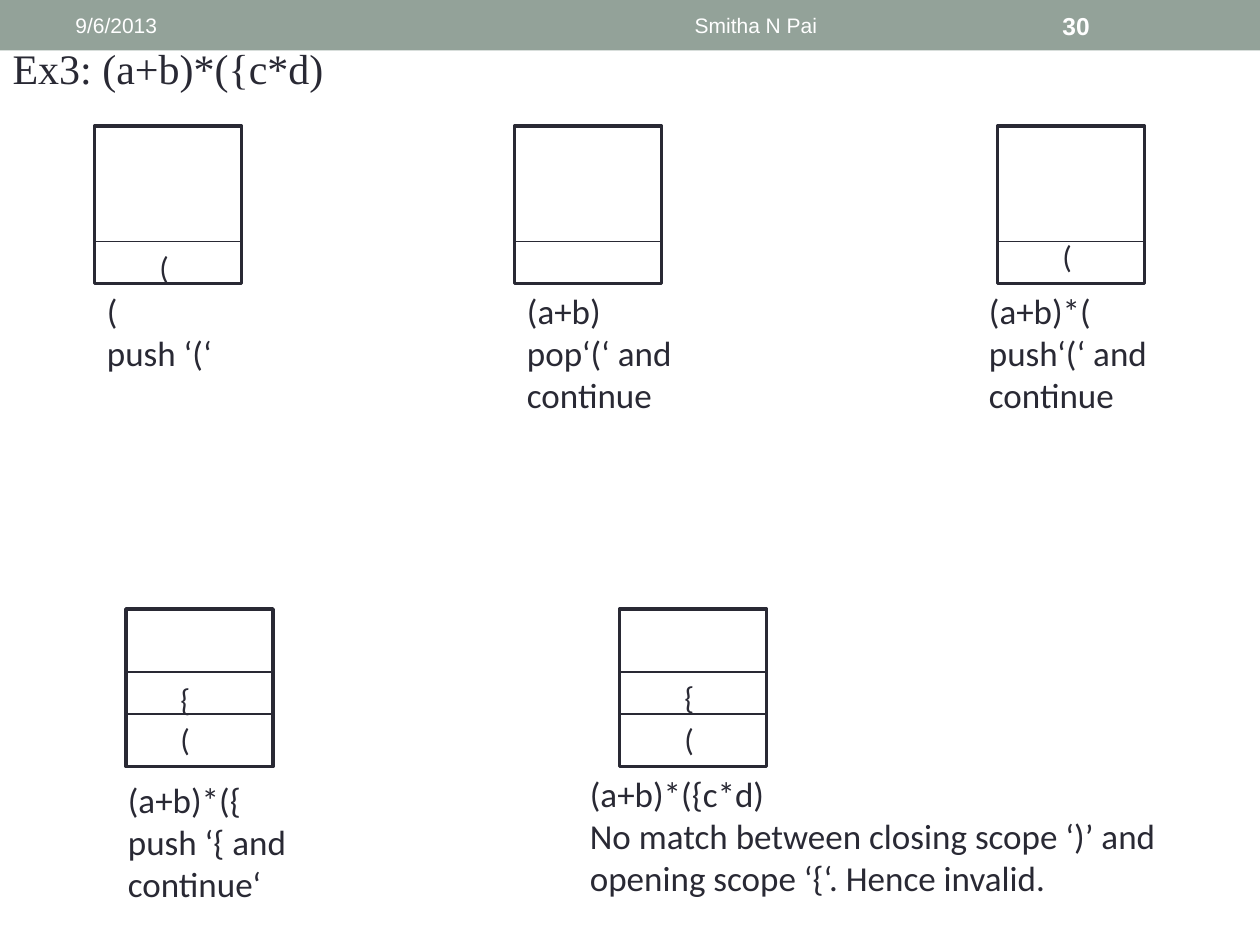
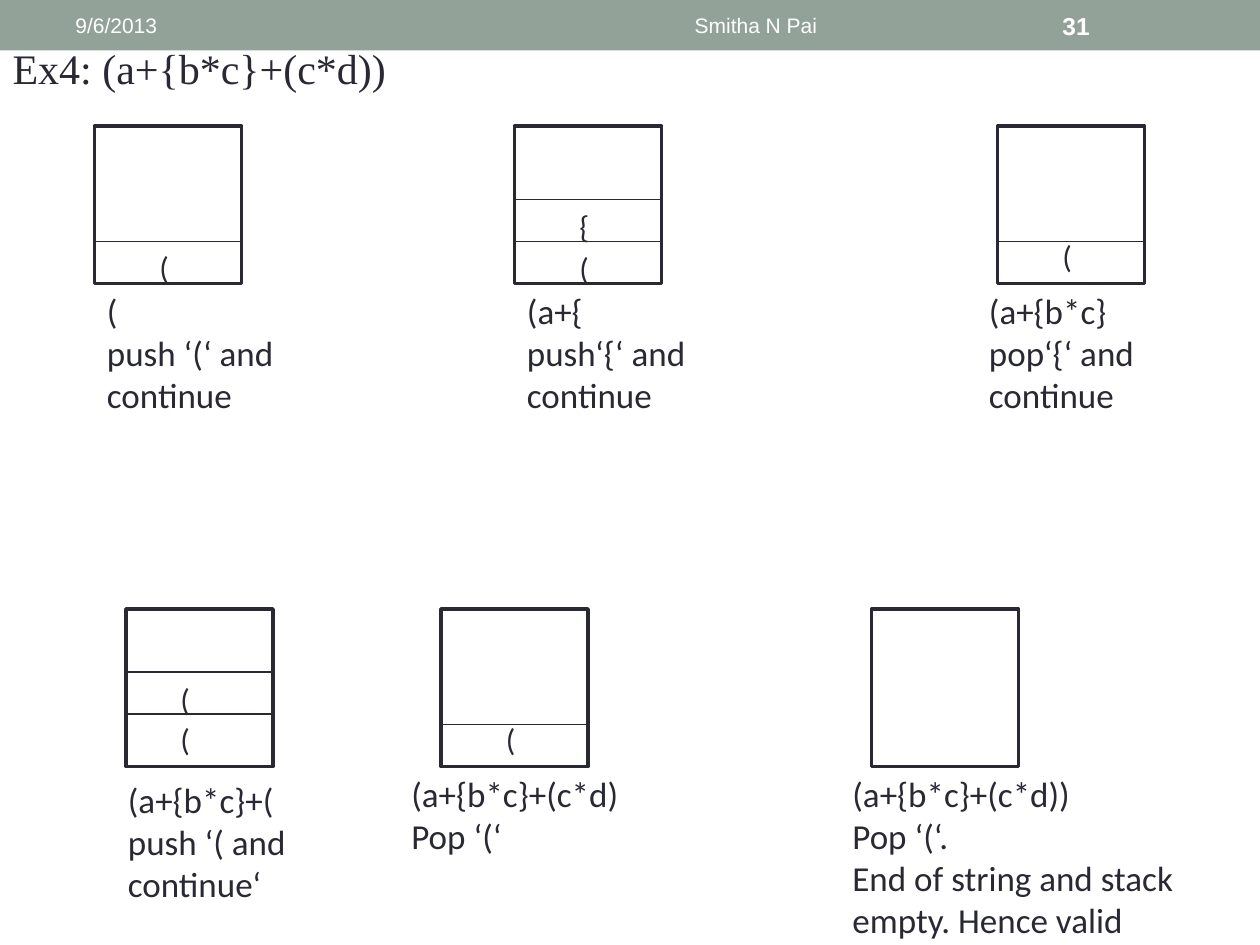
from dataclasses import dataclass

from lxml import etree
from pptx import Presentation
from pptx.dml.color import RGBColor
from pptx.enum.shapes import MSO_CONNECTOR, MSO_SHAPE
from pptx.enum.text import MSO_ANCHOR, MSO_AUTO_SIZE, PP_ALIGN
from pptx.oxml.ns import qn
from pptx.util import Pt

RECTANGLE = MSO_SHAPE.RECTANGLE
STRAIGHT = MSO_CONNECTOR.STRAIGHT
TOP, MIDDLE = MSO_ANCHOR.TOP, MSO_ANCHOR.MIDDLE
NO_FIT, GROW = MSO_AUTO_SIZE.NONE, MSO_AUTO_SIZE.SHAPE_TO_FIT_TEXT
LEFT, CENTER = PP_ALIGN.LEFT, PP_ALIGN.CENTER

INK = RGBColor(0x29, 0x29, 0x34)
SAGE = RGBColor(0x93, 0xA2, 0x99)
WHITE = RGBColor(0xFF, 0xFF, 0xFF)

STACK_WIDTH, STACK_HEIGHT = 84, 90
UPPER_ROW, LOWER_ROW = 72, 348
TITLE_ONLY = 5


@dataclass
class Stack:
    """One drawing of the stack; each cell is (divider y, symbol, symbol y) from the stack's top."""
    left: float
    top: float
    cells: list
    caption: list
    caption_rows: int = 3
    caption_width: float = 120
    caption_shift: tuple = (0, 90)
    symbol_shift: float = 30


OPEN_LOW = [(66, "(", 66)]
OPEN_HIGH = [(66, "(", 60)]

SLIDES = [
    ("Ex3: (a+b)*({c*d)", "30", [
        Stack(54, UPPER_ROW, OPEN_LOW, ["(", "push ‘(‘"],
              caption_rows=2, caption_width=90),
        Stack(294, UPPER_ROW, [(66, "", 0)], ["(a+b)", "pop‘(‘ and continue"]),
        Stack(570, UPPER_ROW, OPEN_HIGH, ["(a+b)*(", "push‘(‘ and continue"],
              caption_shift=(-12, 90)),
        Stack(72, LOWER_ROW, [(60, "(", 60), (36, "{", 37)],
              ["(a+b)*({", "push ‘{ and continue‘"],
              caption_width=126, caption_shift=(-6, 93.5), symbol_shift=24),
        Stack(354, LOWER_ROW, [(60, "(", 60), (36, "{", 36)],
              ["(a+b)*({c*d)",
               "No match between closing scope ‘)’ and opening scope ‘{‘. Hence invalid."],
              caption_width=360, caption_shift=(-24, 90)),
    ]),
    ("Ex4: (a+{b*c}+(c*d))", "31", [
        Stack(54, UPPER_ROW, OPEN_LOW, ["(", "push ‘(‘ and continue"]),
        Stack(294, UPPER_ROW, [(66, "(", 67), (42, "{", 43)],
              ["(a+{", "push‘{‘ and continue"]),
        Stack(570, UPPER_ROW, OPEN_HIGH, ["(a+{b*c}", "pop‘{‘ and continue"],
              caption_shift=(-12, 90)),
        Stack(72, LOWER_ROW, [(60, "(", 60), (36, "(", 37)],
              ["(a+{b*c}+(", "push ‘( and continue‘"],
              caption_width=126, caption_shift=(-6, 93.5), symbol_shift=24),
        Stack(252, LOWER_ROW, OPEN_HIGH, ["(a+{b*c}+(c*d)", "Pop ‘(‘"],
              caption_rows=2, caption_width=150, caption_shift=(-24, 90)),
        Stack(498, LOWER_ROW, [],
              ["(a+{b*c}+(c*d))", "Pop ‘(‘.", "End of string and stack empty. Hence valid"],
              caption_rows=4, caption_width=198, caption_shift=(-18, 90)),
    ]),
]


def place(shape, left, top, width, height):
    shape.left, shape.top = Pt(left), Pt(top)
    shape.width, shape.height = Pt(width), Pt(height)


def write(frame, lines, size, font="Calibri", color=INK, bold=False, align=LEFT):
    for index, line in enumerate(lines):
        paragraph = frame.add_paragraph() if index else frame.paragraphs[0]
        paragraph.alignment = align
        run = paragraph.add_run()
        run.text = line
        run.font.name, run.font.size, run.font.bold = font, Pt(size), bold
        run.font.color.rgb = color


def add_text(slide, box, lines, size, anchor=TOP, fit=GROW, **style):
    frame = slide.shapes.add_textbox(*map(Pt, box)).text_frame
    frame.word_wrap = True
    frame.auto_size = fit
    frame.vertical_anchor = anchor
    write(frame, lines, size, **style)


def add_rectangle(slide, box, fill, line_width=0):
    shape = slide.shapes.add_shape(RECTANGLE, *map(Pt, box))
    shape.shadow.inherit = False
    shape.fill.solid()
    shape.fill.fore_color.rgb = fill
    if line_width:
        shape.line.color.rgb = INK
        shape.line.width = Pt(line_width)
    else:
        shape.line.fill.background()
    return shape


def add_divider(slide, left, y):
    line = slide.shapes.add_connector(STRAIGHT, Pt(left), Pt(y), Pt(left + STACK_WIDTH), Pt(y))
    line.line.color.rgb = INK
    line.line.width = Pt(0.75)
    etree.SubElement(line.element.spPr, qn("a:effectLst"))


def add_stack(slide, stack):
    add_rectangle(slide, (stack.left, stack.top, STACK_WIDTH, STACK_HEIGHT), WHITE, 2.08)
    for divider, symbol, symbol_top in stack.cells:
        add_divider(slide, stack.left, stack.top + divider)
        if symbol:
            add_text(slide, (stack.left + stack.symbol_shift, stack.top + symbol_top, 24, 29),
                     [symbol], 18)
    shift_x, shift_y = stack.caption_shift
    add_text(slide, (stack.left + shift_x, stack.top + shift_y,
                     stack.caption_width, 6.5 + 24.5 * stack.caption_rows), stack.caption, 20)


def set_title(slide, text):
    title = slide.shapes.title
    place(title, 0, 18, 648, 504)
    frame = title.text_frame
    frame.auto_size = NO_FIT
    frame.vertical_anchor = TOP
    frame.margin_top = Pt(6)
    write(frame, [text], 24, font="Times New Roman")


def add_header(slide, number):
    header = {"anchor": MIDDLE, "fit": NO_FIT, "font": "Arial", "color": WHITE}
    add_text(slide, (36, 1.5, 228, 26), ["9/6/2013"], 12, **header)
    add_text(slide, (270, 1.5, 324, 26), ["Smitha N Pai"], 12, align=CENTER, **header)
    add_text(slide, (600, 1.5, 84, 26), [number], 14, bold=True, **header)


def main():
    presentation = Presentation()
    presentation.slide_width, presentation.slide_height = Pt(720), Pt(540)
    layout = presentation.slide_layouts[TITLE_ONLY]
    for index, (title, number, stacks) in enumerate(SLIDES):
        slide = presentation.slides.add_slide(layout)
        if index == 0:
            # The band is shared, so it moves to the layout, behind its placeholders.
            band = add_rectangle(slide, (0, 0, 720, 28.8), SAGE)
            layout.shapes.element.insert(2, band.element)
        set_title(slide, title)
        for stack in stacks:
            add_stack(slide, stack)
        add_header(slide, number)
    presentation.save("out.pptx")


if __name__ == "__main__":
    main()
